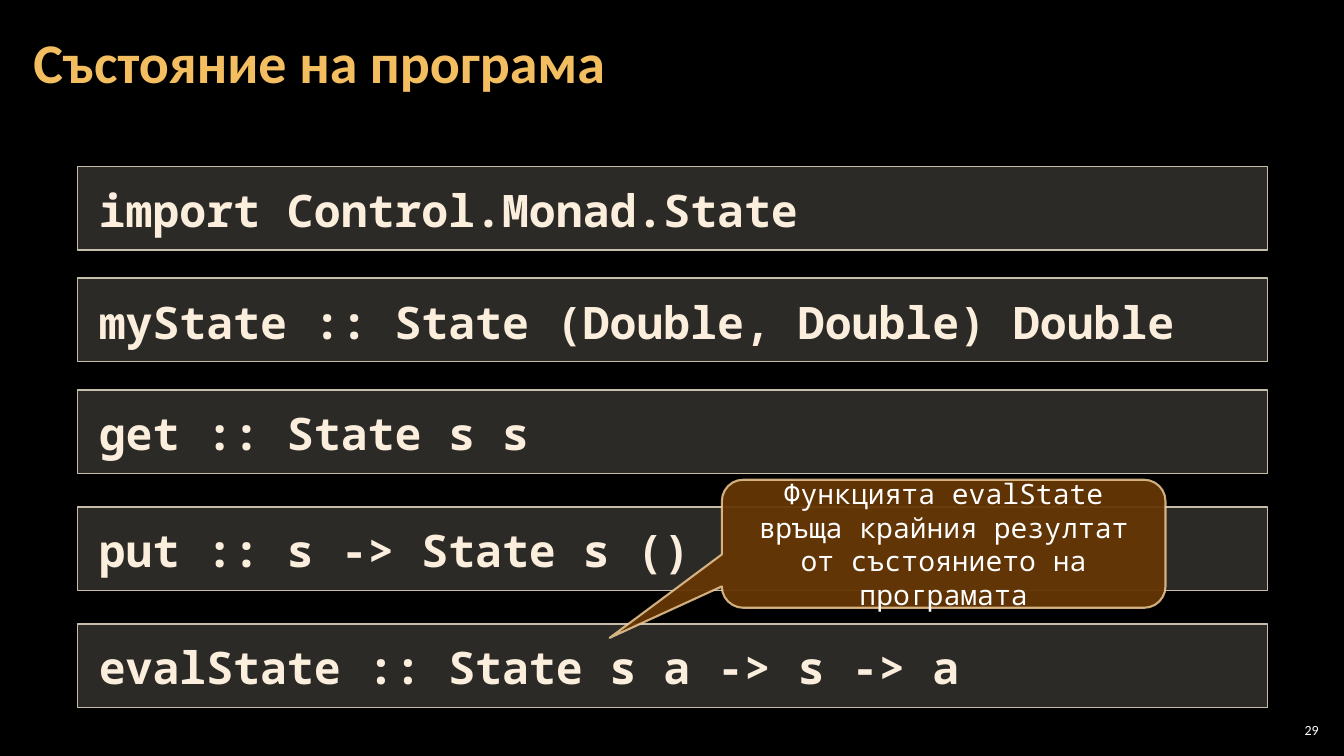
from lxml.etree import SubElement
from pptx import Presentation
from pptx.dml.color import RGBColor
from pptx.enum.shapes import MSO_SHAPE as Shape
from pptx.enum.text import MSO_ANCHOR as Anchor, PP_ALIGN as Align
from pptx.oxml.ns import qn
from pptx.util import Inches, Pt

BLACK = RGBColor(0x00, 0x00, 0x00)
WHITE = RGBColor(0xFF, 0xFF, 0xFF)
GOLD = RGBColor(0xF3, 0xBE, 0x60)
CREAM = RGBColor(0xFB, 0xEE, 0xDC)
STONE = RGBColor(0xD9, 0xD4, 0xC6)
STONE_EDGE = RGBColor(0xC6, 0xBE, 0xAB)
BROWN = RGBColor(0x66, 0x36, 0x06)
SAND = RGBColor(0xF8, 0xD4, 0x9E)

SANS = "Calibri"
MONO = "Noto Sans Mono"

CODE_ROWS = [
    (1.65, "import Control.Monad.State"),
    (2.76, "myState :: State (Double, Double) Double"),
    (3.87, "get :: State s s"),
    (5.03, "put :: s -> State s ()"),
    (6.19, "evalState :: State s a -> s -> a"),
]


def write_text(box, text, font, size, color, margins, bold=False,
               align=Align.LEFT, anchor=Anchor.MIDDLE):
    """Fill a box with one styled paragraph and return it."""
    frame = box.text_frame
    frame.word_wrap = True
    frame.vertical_anchor = anchor
    frame.margin_left = frame.margin_right = Inches(margins[0])
    frame.margin_top = frame.margin_bottom = Inches(margins[1])
    para = frame.paragraphs[0]
    para.alignment = align
    span = para.add_run()
    span.text = text
    span.font.name = font
    span.font.size = Pt(size)
    span.font.bold = bold
    span.font.color.rgb = color
    return para


def set_opacity(box, place, percent):
    """Set the opacity of the solid fill found at a place in a shape."""
    color = box._element.spPr.find(place, {"a": qn("a:t")[1:-2]})[0]
    SubElement(color, qn("a:alpha"), val=str(percent * 1000))


def add_panel(page, kind, bounds, fill, opacity, edge, width):
    """Add a translucent outlined shape."""
    box = page.shapes.add_shape(kind, *map(Inches, bounds))
    box.shadow.inherit = False
    box.fill.solid()
    box.fill.fore_color.rgb = fill
    set_opacity(box, "a:solidFill", opacity)
    box.line.color.rgb = edge
    box.line.width = Pt(width)
    return box


def add_label(page, bounds, *args, **style):
    """Add a text box and return its paragraph."""
    box = page.shapes.add_textbox(*map(Inches, bounds))
    return write_text(box, *args, **style)


def add_code(page, top, code):
    """Add one full-width line of code."""
    box = add_panel(page, Shape.RECTANGLE, (0.77, top, 11.8, 0.83),
                    STONE, 20, STONE_EDGE, 1)
    write_text(box, code, MONO, 32, CREAM, (0.21, 0.16), bold=True,
               anchor=Anchor.TOP)


def add_callout(page, text):
    """Add the callout pointing at the last line of code."""
    box = add_panel(page, Shape.ROUNDED_RECTANGULAR_CALLOUT,
                    (7.16, 4.76, 4.4, 1.27), BROWN, 95, SAND, 1.5)
    set_opacity(box, "a:ln/a:solidFill", 80)
    for index, value in enumerate((-0.753, 0.735, 0.167)):
        box.adjustments[index] = value
    write_text(box, text, MONO, 20, WHITE, (0.13, 0.07), align=Align.CENTER)


def main():
    """Build and save the slide."""
    deck = Presentation()
    deck.slide_width = Inches(13.33)
    deck.slide_height = Inches(7.5)
    page = deck.slides.add_slide(deck.slide_layouts[6])
    page.background.fill.solid()
    page.background.fill.fore_color.rgb = BLACK

    title = add_label(page, (0.21, 0.04, 12.91, 1.21), "Състояние на програма",
                      SANS, 40, GOLD, (0.12, 0.04), bold=True)
    title.line_spacing = 0.9
    for top, code in CODE_ROWS:
        add_code(page, top, code)
    add_callout(page, "Функцията evalState връща крайния резултат "
                      "от състоянието на програмата")
    add_label(page, (12.65, 7.14, 0.47, 0.21), "29", SANS, 10, WHITE,
              (0.04, 0.04), align=Align.RIGHT)
    deck.save("out.pptx")


if __name__ == "__main__":
    main()
